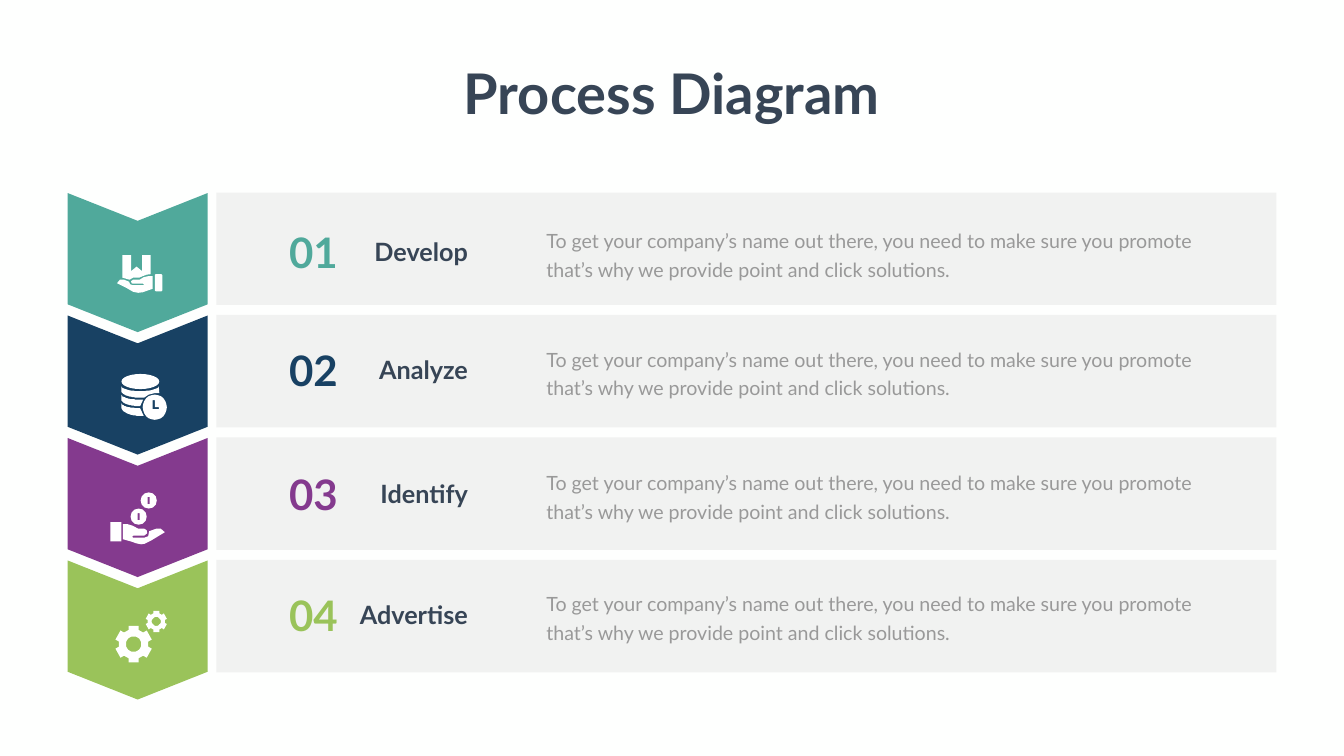
import math

import pptx
import pptx.dml.color
import pptx.enum.shapes
import pptx.enum.text
import pptx.oxml.ns
import pptx.util
from lxml import etree

PX = pptx.util.Inches(1) // 100
WHITE, SLATE, GREY = "FFFFFF", "374556", "999999"
ROW_TOP, ROW_PITCH, ROW_HEIGHT = 382, 243, 223
DESCRIPTION = (
    "To get your company’s name out there, you need to make sure you promote "
    "that’s why we provide point and click solutions."
)
STEPS = [
    ("Develop", "50A99B", 440),
    ("Analyze", "184163", 675),
    ("Identify", "843A8E", 920),
    ("Advertise", "9AC35A", 1160),
]
SHAPES = pptx.enum.shapes.MSO_SHAPE
ALIGN = pptx.enum.text.PP_ALIGN


def px(*lengths):
    """Turn px lengths into EMU."""
    return [length * PX for length in lengths]


def rgb(hex_colour):
    """Turn a hex string into a colour."""
    return pptx.dml.color.RGBColor.from_string(hex_colour)


def paint(shape, colour, opacity=100):
    """Give a shape a flat fill without line or shadow."""
    shape.shadow.inherit = False
    shape.line.fill.background()
    shape.fill.solid()
    shape.fill.fore_color.rgb = rgb(colour)
    if opacity < 100:
        tone = shape._element.spPr.find(".//" + pptx.oxml.ns.qn("a:srgbClr"))
        alpha = etree.SubElement(tone, pptx.oxml.ns.qn("a:alpha"))
        alpha.set("val", str(opacity * 1000))


def add_block(shapes, kind, box, colour, opacity=100):
    """Add a painted preset shape."""
    block = shapes.add_shape(kind, *px(*box))
    paint(block, colour, opacity)
    return block


def add_outline(shapes, outer, *holes):
    """Add a white closed outline with optional holes."""
    builder = shapes.build_freeform(*outer[0], scale=PX)
    builder.add_line_segments(outer[1:], close=True)
    for hole in holes:
        builder.move_to(*hole[0])
        builder.add_line_segments(hole[1:], close=True)
    paint(builder.convert_to_shape(), WHITE)


def write(box, text, size, colour, bold=True, align=ALIGN.RIGHT, wrap=True, spacing=None):
    """Write one formatted paragraph in a text shape."""
    frame = box.text_frame
    frame.text = text
    paragraph = frame.paragraphs[0]
    frame_format = {
        "word_wrap": wrap,
        "auto_size": pptx.enum.text.MSO_AUTO_SIZE.SHAPE_TO_FIT_TEXT,
        "vertical_anchor": pptx.enum.text.MSO_ANCHOR.TOP,
    }
    paragraph_format = {"alignment": align, "line_spacing": spacing}
    font_format = {"name": "Lato", "size": pptx.util.Pt(size), "bold": bold}
    targets = (frame, frame_format), (paragraph, paragraph_format), (paragraph.font, font_format)
    for target, values in targets:
        for name, value in values.items():
            setattr(target, name, value)
    paragraph.font.color.rgb = rgb(colour)


def arc(cx, cy, rx, ry, start=0, end=360):
    """List points along an elliptical arc, in degrees clockwise from the right."""
    angles = [math.radians(start + (end - start) * i / 24) for i in range(25)]
    return [(cx + rx * math.cos(a), cy + ry * math.sin(a)) for a in angles]


def add_book_hand(shapes):
    """Draw a book held on an open hand."""
    add_block(shapes, SHAPES.ROUNDED_RECTANGLE, (307, 544, 15, 34), WHITE)
    add_outline(shapes, [
        (243, 506), (260, 506), (260, 538), (271, 529), (282, 538), (282, 506), (299, 506),
        (299, 544), (291, 545), (283, 548), (276, 551), (264, 551), (257, 555), (243, 551),
    ])
    add_outline(shapes, [
        (303, 548), (294, 548), (285, 550), (277, 555), (264, 555), (260, 558), (261, 562),
        (264, 563), (284, 563), (286, 565), (284, 566), (264, 566), (258, 564), (256, 559),
        (246, 555), (238, 555), (232, 562), (252, 572), (264, 579), (274, 581), (283, 580),
        (303, 573),
    ])


def add_timed_database(shapes):
    """Draw a database cylinder with a clock."""
    add_block(shapes, SHAPES.OVAL, (241, 742, 75, 30), WHITE)
    notch = [(316, 780), (307, 780), (295, 783), (286, 789)]
    add_outline(shapes, arc(278, 766, 37, 10, 180, 0) + notch + arc(278, 776, 37, 13, 90, 180))
    add_outline(shapes, arc(278, 783, 37, 10, 180, 80) + arc(278, 793, 37, 13, 90, 180))
    add_outline(shapes, arc(278, 800, 37, 10, 180, 90) + [(285, 825)]
                + arc(278, 808, 37, 17, 90, 180))
    hands = [(303, 794), (307, 794), (307, 808), (315, 808), (315, 812), (303, 812)]
    add_outline(shapes, arc(307, 808, 24, 25), hands)


def add_coin_hand(shapes):
    """Draw two coins above an open hand."""
    add_block(shapes, SHAPES.RECTANGLE, (219, 1036, 22, 38), WHITE)
    add_outline(shapes, [
        (244, 1040), (253, 1040), (263, 1043), (274, 1049), (286, 1049), (291, 1052),
        (292, 1058), (286, 1063), (264, 1063), (262, 1065), (264, 1067), (286, 1067),
        (294, 1064), (296, 1054), (310, 1049), (319, 1049), (327, 1056), (299, 1073),
        (287, 1079), (280, 1080), (270, 1078), (262, 1075), (244, 1070),
    ])
    for cx, cy in (295, 993), (275, 1025):
        slot = [(cx - 2, cy - 7), (cx + 2, cy - 7), (cx + 2, cy + 7), (cx - 2, cy + 7)]
        add_outline(shapes, arc(cx, cy, 16, 16), slot)


def add_gears(shapes):
    """Draw a large and a small gear with six teeth each."""
    profile = [(-20, 0.83), (-16, 1.03), (16, 1.03), (20, 0.83)]
    for cx, cy, radius in (265, 1278, 36), (310, 1233, 21):
        rim = []
        for tooth in range(6):
            for turn, reach in profile:
                angle = math.radians(tooth * 60 - 90 + turn)
                rim.append((cx + radius * reach * math.cos(angle),
                            cy + radius * reach * math.sin(angle)))
        hole = 0.42 * radius
        add_outline(shapes, rim, arc(cx, cy, hole, hole))


def add_step_text(slide, number, label, colour, top):
    """Group the description, label and number of a step."""
    shapes = slide.shapes.add_group_shape().shapes
    description = shapes.add_textbox(*px(1074, top, 1321, 119))
    write(description, DESCRIPTION, 28, GREY, False, ALIGN.LEFT, spacing=pptx.util.Pt(40.8))
    write(shapes.add_textbox(*px(677, top + 24, 261, 71)), label, 36, SLATE)
    write(shapes.add_textbox(*px(544, top + 4, 136, 111)), f"{number:02}", 60, colour)


def add_title(slide, text):
    """Place and format the slide title."""
    title = slide.shapes.title
    title.left, title.top, title.width, title.height = px(901, 112, 863, 145)
    write(title, text, 80, SLATE, align=ALIGN.CENTER, wrap=False)


def main():
    """Build the process diagram slide."""
    deck = pptx.Presentation()
    deck.slide_width, deck.slide_height = px(2666, 1500)
    slide = deck.slides.add_slide(deck.slide_layouts[5])
    slide.background.fill.solid()
    slide.background.fill.fore_color.rgb = rgb("FEFFFE")
    add_title(slide, "Process Diagram")
    row_tops = [ROW_TOP + row * ROW_PITCH for row in range(len(STEPS))]
    for top, (_, colour, _) in zip(row_tops, STEPS):
        chevron = add_block(slide.shapes, SHAPES.CHEVRON, (135, top, 276, 278), colour)
        chevron.rotation = 90
        chevron.adjustments[0] = 0.2
    for top in row_tops:
        add_block(slide.shapes, SHAPES.RECTANGLE, (429, top, 2103, ROW_HEIGHT), "808080", 10)
    for number, step in enumerate(STEPS, 1):
        add_step_text(slide, number, *step)
    for add_icon in (add_book_hand, add_timed_database, add_coin_hand, add_gears):
        add_icon(slide.shapes.add_group_shape().shapes)
    deck.save("out.pptx")


if __name__ == "__main__":
    main()
